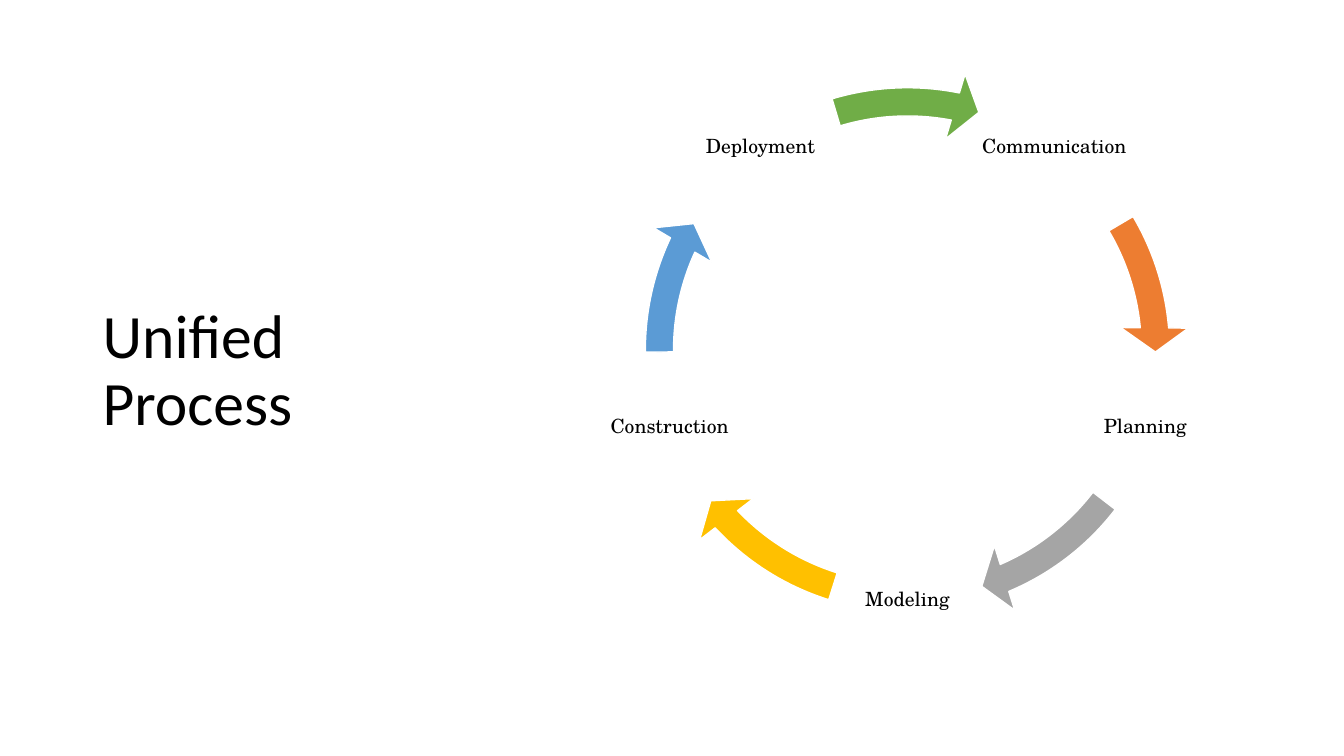
"""Build the Unified Process cycle slide: five phases joined by curved arrows."""
import math

from pptx import Presentation
from pptx.dml.color import RGBColor
from pptx.enum.shapes import MSO_SHAPE
from pptx.enum.text import MSO_ANCHOR, PP_ALIGN
from pptx.util import Inches, Pt

ARROW = MSO_SHAPE.CIRCULAR_ARROW
MIDDLE = MSO_ANCHOR.MIDDLE
LEFT, CENTER = PP_ALIGN.LEFT, PP_ALIGN.CENTER

CENTER_X, CENTER_Y = 9, 3.47
RADIUS = 2.48
LABEL_SIZE = 1.49
ARROW_SIZE = 5.59
PHASES = [
    ("Communication", "ED7D31", 212.95, 197.65),
    ("Planning", "A5A5A5", 40.17, 22.52),
    ("Modeling", "FFC000", 82.13, 64.48),
    ("Construction", "5B9BD5", 123, 107.69),
    ("Deployment", "70AD47", 168.68, 151.97),
]


def color(hex_string):
    return RGBColor.from_string(hex_string)


def add_text(text, left, top, width, height, *, font, size, align=LEFT, inset=None):
    box = slide.shapes.add_textbox(Inches(left), Inches(top), Inches(width), Inches(height))
    frame = box.text_frame
    frame.word_wrap = True
    frame.vertical_anchor = MIDDLE
    if inset is not None:
        frame.margin_left = frame.margin_right = Inches(inset)
        frame.margin_top = frame.margin_bottom = Inches(inset)
    paragraph = frame.paragraphs[0]
    paragraph.text = text
    paragraph.alignment = align
    paragraph.line_spacing = 0.9
    paragraph.font.name = font
    paragraph.font.size = Pt(size)
    paragraph.font.color.rgb = color("000000")


presentation = Presentation()
presentation.slide_width = Inches(13.33)
presentation.slide_height = Inches(7.5)
slide = presentation.slides.add_slide(presentation.slide_layouts[6])

add_text("Unified Process", 0.92, 0.68, 3.69, 6.02, font="Calibri", size=44)

for index, (phase, fill, head_angle, tail_angle) in enumerate(PHASES):
    angle = math.radians(72 * index - 54)
    label_left = CENTER_X + RADIUS * math.cos(angle) - LABEL_SIZE / 2
    label_top = CENTER_Y + RADIUS * math.sin(angle) - LABEL_SIZE / 2
    add_text(phase, label_left, label_top, LABEL_SIZE, LABEL_SIZE,
             font="TeX Gyre Schola", size=14, align=CENTER, inset=0.02)

    arrow = slide.shapes.add_shape(
        ARROW, Inches(CENTER_X - ARROW_SIZE / 2), Inches(CENTER_Y - ARROW_SIZE / 2),
        Inches(ARROW_SIZE), Inches(ARROW_SIZE))
    for position, value in enumerate((0.05, 3.36, head_angle, tail_angle, 0.06)):
        arrow.adjustments[position] = value
    arrow.shadow.inherit = False
    arrow.fill.solid()
    arrow.fill.fore_color.rgb = color(fill)
    arrow.line.color.rgb = color("FFFFFF")
    arrow.line.width = Pt(1)

presentation.save("out.pptx")
